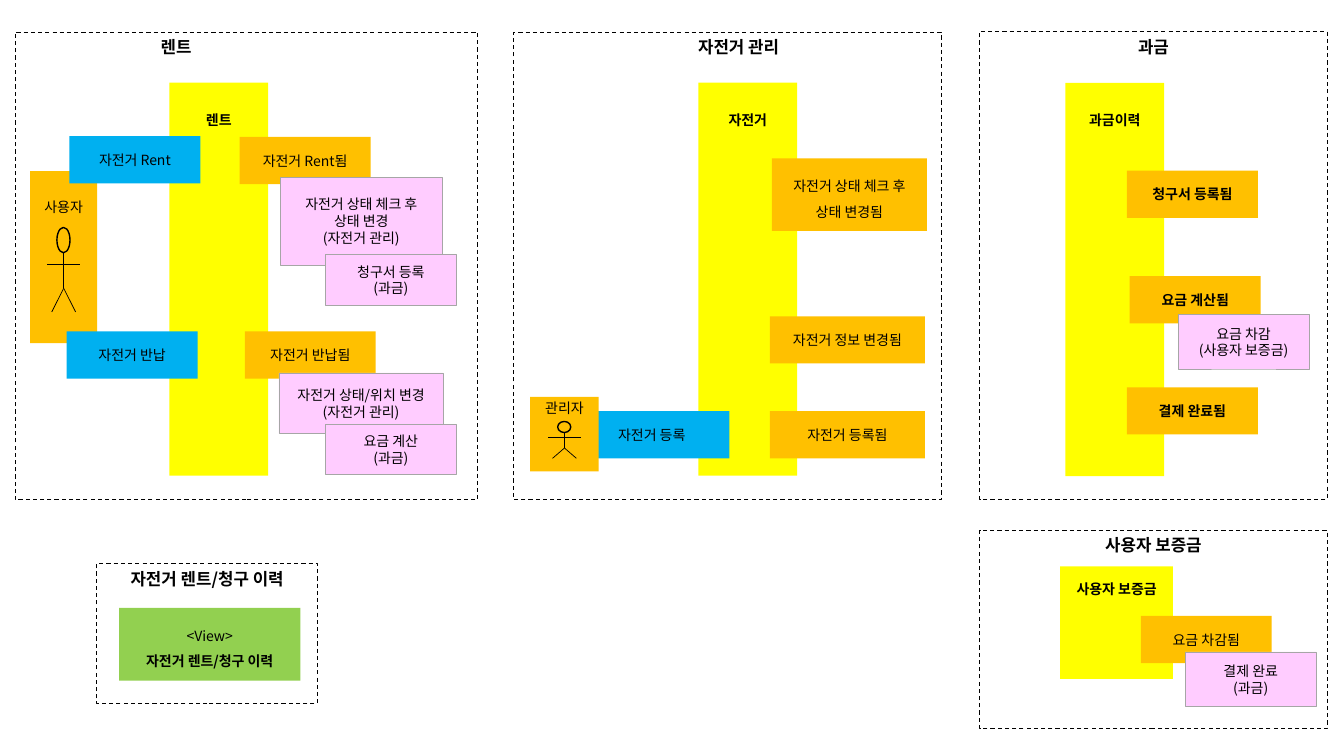
import pptx
import pptx.dml.color
import pptx.enum.dml
import pptx.enum.shapes
import pptx.enum.text
import pptx.oxml
import pptx.oxml.ns
import pptx.util

Cm = pptx.util.Cm
Pt = pptx.util.Pt
SHAPE = pptx.enum.shapes.MSO_SHAPE
ANCHOR = pptx.enum.text.MSO_ANCHOR
FONT = "Noto Sans CJK KR"
COLORS = {
    "ink": "000000", "note_edge": "A6A6A6", "aggregate": "FFFF00", "event": "FFC000",
    "actor": "FFC000", "command": "00B0F0", "policy": "FFCCFF", "view": "92D050",
}
COLUMN = (2.49, 9.91)
NOTE = (3.3, 1.19)
WIDE_NOTE = (3.91, 1.19)
TALL_NOTE = (3.91, 1.83)
POLICY = (3.3, 1.27)
TALL_POLICY = (3.3, 1.37)


def rgb(name):
    """Return the named colour."""
    return pptx.dml.color.RGBColor.from_string(COLORS[name])


def write(shape, lines, size=10, bold=(), spacing=None):
    """Write centred lines into a shape, with the listed line numbers in bold."""
    frame = shape.text_frame
    frame.word_wrap = True
    for number, line in enumerate(lines):
        paragraph = frame.paragraphs[0] if number == 0 else frame.add_paragraph()
        paragraph.alignment = pptx.enum.text.PP_ALIGN.CENTER
        if spacing:
            paragraph.line_spacing = spacing
        run = paragraph.add_run()
        run.text = line
        run.font.size = Pt(size)
        run.font.name = FONT
        run.font.bold = number in bold
        run.font.color.rgb = rgb("ink")
        east_asian = pptx.oxml.parse_xml(
            f'<a:ea {pptx.oxml.ns.nsdecls("a")} typeface="{FONT}"/>')
        run.font._element.find(pptx.oxml.ns.qn("a:latin")).addnext(east_asian)


def add_block(shapes, preset, left, top, width, height, fill=None, edge=None, weight=0.5):
    """Add a flat preset shape, measured in centimetres."""
    block = shapes.add_shape(preset, Cm(left), Cm(top), Cm(width), Cm(height))
    block.shadow.inherit = False
    if fill:
        block.fill.solid()
        block.fill.fore_color.rgb = rgb(fill)
    else:
        block.fill.background()
    if edge:
        block.line.color.rgb = rgb(edge)
        block.line.width = Pt(weight)
    else:
        block.line.fill.background()
    return block


def add_note(shapes, left, top, kind, text, size=NOTE, bold=(), spacing=None, text_top=None):
    """Add a sticky note, with its text in the middle or at a given depth."""
    edge = "note_edge" if kind == "policy" else None
    note = add_block(shapes, SHAPE.RECTANGLE, left, top, *size, kind, edge)
    note.text_frame.vertical_anchor = ANCHOR.MIDDLE
    if text_top is not None:
        note.text_frame.vertical_anchor = ANCHOR.TOP
        note.text_frame.margin_top = Cm(text_top)
    write(note, text.split("\n"), bold=bold, spacing=spacing)


def add_actor(shapes, left, top, name, size, text_top, figure_top, figure_height):
    """Add a grouped actor note with a stick figure under the name."""
    actor = shapes.add_group_shape().shapes
    add_note(actor, left, top, "actor", name, size, text_top=text_top)
    center = left + size[0] / 2
    head_top = top + figure_top
    neck, arms, hip, feet = (head_top + figure_height * part for part in (0.3, 0.44, 0.72, 1))
    add_block(actor, SHAPE.OVAL, center - 0.17, head_top, 0.33, neck - head_top,
              edge="ink", weight=1)
    limbs = [(-0.41, arms, 0.41, arms), (0, neck, 0, hip),
             (0, hip, -0.3, feet), (0, hip, 0.3, feet)]
    for start_x, start_y, end_x, end_y in limbs:
        limb = actor.add_connector(
            pptx.enum.shapes.MSO_CONNECTOR.STRAIGHT,
            Cm(center + start_x), Cm(start_y), Cm(center + end_x), Cm(end_y))
        limb.line.color.rgb = rgb("ink")
        limb.line.width = Pt(0.5)
        limb._element.spPr.append(
            pptx.oxml.parse_xml(f'<a:effectLst {pptx.oxml.ns.nsdecls("a")}/>'))


def add_context(shapes, box, title, indent_left=0.25, indent_right=0.25):
    """Add the dashed frame of a bounded context with its title."""
    frame = add_block(shapes, SHAPE.RECTANGLE, *box, edge="ink", weight=0.75)
    frame.line.dash_style = pptx.enum.dml.MSO_LINE.DASH
    frame.text_frame.vertical_anchor = ANCHOR.TOP
    frame.text_frame.margin_left = Cm(indent_left)
    frame.text_frame.margin_right = Cm(indent_right)
    write(frame, [title], size=12, bold=(0,))


def add_rent(shapes, box):
    """Place the rent context."""
    x, y = box[:2]
    add_context(shapes, box, "렌트", indent_right=3.79)
    add_note(shapes, x + 3.89, y + 1.27, "aggregate", "렌트", COLUMN, (0,), text_top=0.72)
    add_actor(shapes, x + 0.38, y + 3.5, "사용자", (1.69, 4.34), 0.7, 1.42, 2.13)
    notes = [
        (5.66, 2.64, "event", "자전거 Rent됨", NOTE),
        (6.68, 3.66, "policy", "자전거 상태 체크 후\n상태 변경\n(자전거 관리)", (4.09, 2.21)),
        (7.82, 5.61, "policy", "청구서 등록\n(과금)", POLICY),
        (1.37, 2.62, "command", "자전거 Rent", NOTE),
        (1.3, 7.54, "command", "자전거 반납", NOTE),
        (5.79, 7.54, "event", "자전거 반납됨", NOTE),
        (6.65, 8.59, "policy", "자전거 상태/위치 변경\n(자전거 관리)", (4.14, 1.52)),
        (7.82, 9.88, "policy", "요금 계산\n(과금)", POLICY),
    ]
    for left, top, kind, text, size in notes:
        add_note(shapes, x + left, y + top, kind, text, size)


def add_bicycle(shapes, box):
    """Place the bicycle management context."""
    x, y = box[:2]
    add_context(shapes, box, "자전거 관리", indent_left=0.81)
    add_note(shapes, x + 4.65, y + 1.27, "aggregate", "자전거", COLUMN, (0,), text_top=0.72)
    add_note(shapes, x + 6.5, y + 3.18, "event", "자전거 상태 체크 후\n상태 변경됨",
             TALL_NOTE, spacing=1.5)
    add_note(shapes, x + 6.45, y + 7.16, "event", "자전거 정보 변경됨", WIDE_NOTE)
    add_note(shapes, x + 6.45, y + 9.55, "event", "자전거 등록됨", WIDE_NOTE)
    add_note(shapes, x + 1.52, y + 9.55, "command", "자전거 등록", WIDE_NOTE)
    add_actor(shapes, x + 0.41, y + 9.19, "관리자", (1.73, 1.88), 0.07, 0.62, 0.93)


def add_billing(shapes, box):
    """Place the billing context."""
    x, y = box[:2]
    add_context(shapes, box, "과금")
    add_note(shapes, x + 2.16, y + 1.3, "aggregate", "과금이력", COLUMN, (0,), text_top=0.72)
    for left, top, text in [(3.71, 3.51, "청구서 등록됨"), (3.78, 6.17, "요금 계산됨"),
                            (3.71, 8.97, "결제 완료됨")]:
        add_note(shapes, x + left, y + top, "event", text, bold=(0,))
    add_note(shapes, x + 5, y + 7.14, "policy", "요금 차감\n(사용자 보증금)", TALL_POLICY)


def add_deposit(shapes, box):
    """Place the user deposit context."""
    x, y = box[:2]
    add_context(shapes, box, "사용자 보증금")
    add_note(shapes, x + 2.03, y + 0.91, "aggregate", "사용자 보증금", (2.84, 2.84), (0,),
             text_top=0.37)
    add_note(shapes, x + 4.06, y + 2.16, "event", "요금 차감됨")
    add_note(shapes, x + 5.18, y + 3.07, "policy", "결제 완료\n(과금)", TALL_POLICY)


def add_history(shapes, box):
    """Place the rent and billing history view."""
    x, y = box[:2]
    add_context(shapes, box, "자전거 렌트/청구 이력")
    add_note(shapes, x + 0.56, y + 1.12, "view", "<View>\n자전거 렌트/청구 이력",
             (4.57, 1.83), (1,), spacing=1.5)


def main():
    """Build the event storming slide and save it."""
    deck = pptx.Presentation()
    deck.slide_width = Cm(33.87)
    deck.slide_height = Cm(19.05)
    shapes = deck.slides.add_slide(deck.slide_layouts[6]).shapes
    add_rent(shapes, (0.38, 0.81, 11.66, 11.79))
    add_bicycle(shapes, (12.95, 0.81, 10.77, 11.79))
    add_billing(shapes, (24.69, 0.79, 8.76, 11.79))
    add_deposit(shapes, (24.69, 13.36, 8.76, 5))
    add_history(shapes, (2.44, 14.2, 5.56, 3.53))
    deck.save("out.pptx")


if __name__ == "__main__":
    main()
